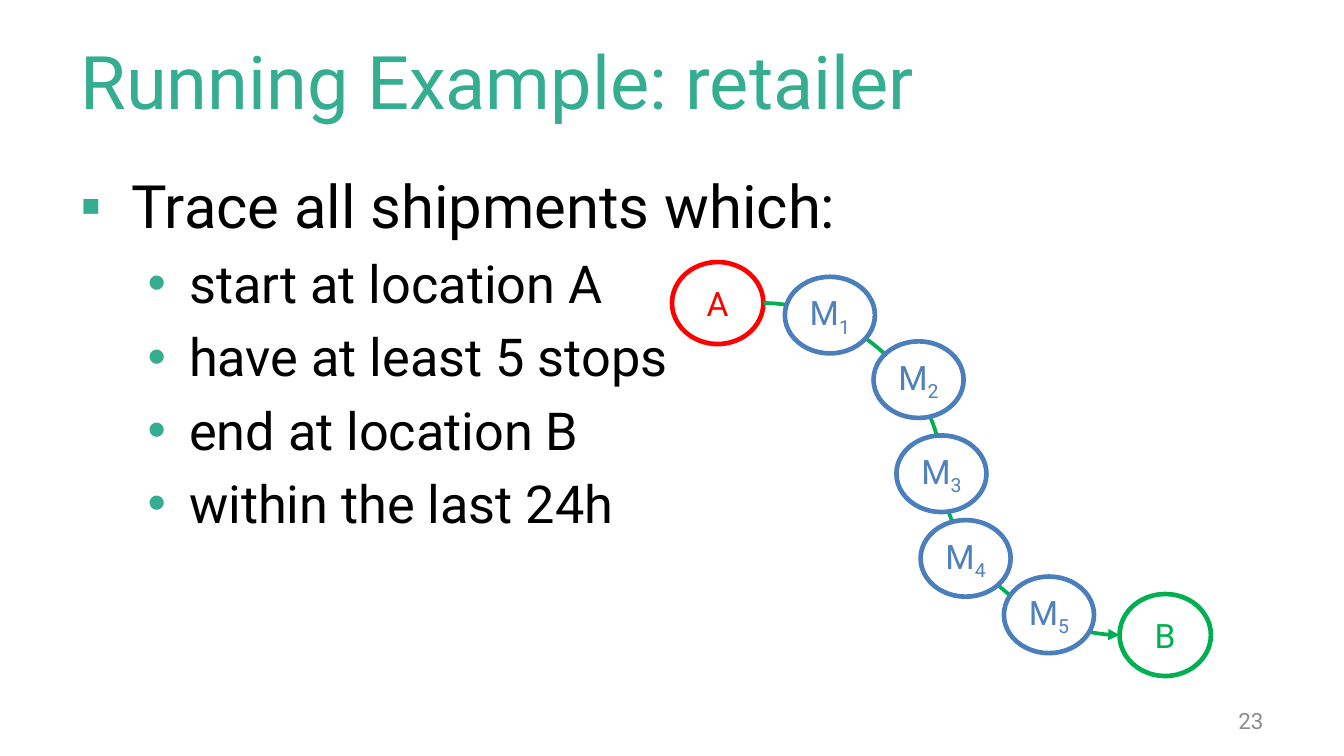
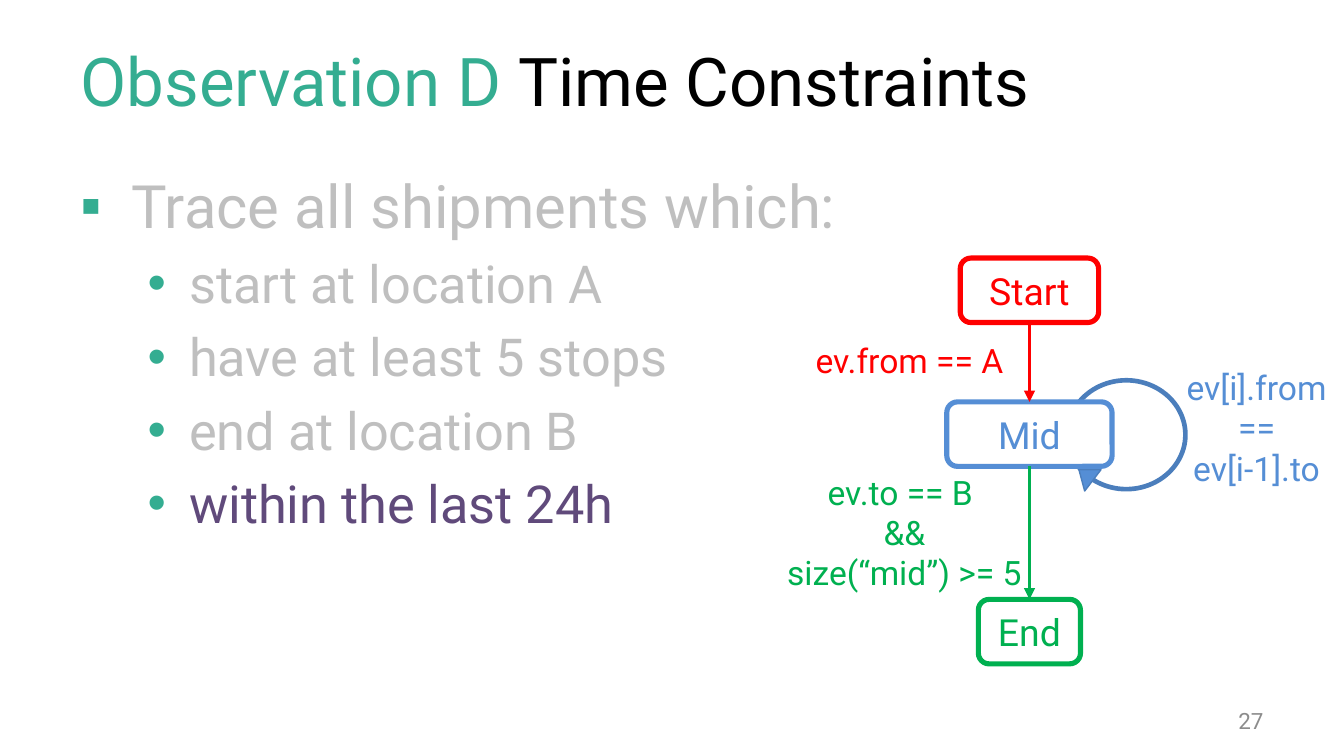
from lxml import etree
from pptx import Presentation
from pptx.dml.color import RGBColor
from pptx.enum.shapes import MSO_CONNECTOR, MSO_SHAPE
from pptx.enum.text import MSO_ANCHOR, MSO_AUTO_SIZE, PP_ALIGN
from pptx.oxml.ns import qn
from pptx.util import Inches, Pt

OVAL, ROUND, WEDGE = MSO_SHAPE.OVAL, MSO_SHAPE.ROUNDED_RECTANGLE, MSO_SHAPE.ISOSCELES_TRIANGLE
CURVE, STRAIGHT = MSO_CONNECTOR.CURVE, MSO_CONNECTOR.STRAIGHT
LEFT, MID, RIGHT = PP_ALIGN.LEFT, PP_ALIGN.CENTER, PP_ALIGN.RIGHT
CENTER, TOP = MSO_ANCHOR.MIDDLE, MSO_ANCHOR.TOP
FIXED = MSO_AUTO_SIZE.NONE

WIDE = Inches(10)
HIGH = WIDE * 9 // 16
CELL = WIDE / 100
FACE = "Roboto"
TEAL, BLACK, WHITE, GREY, PALE = "34AD91", "000000", "FFFFFF", "8C8C8C", "BFBFBF"
RED, GREEN, PURPLE = "FF0000", "00B050", "604A7B"
BLUE, EDGE, SKY = "4F81BD", "4B7EBC", "558ED5"

TITLE = (5, 2.25, 82, 7.4)
BODY = (5, 12.1, 90, 38.2)
FOOT = (71.7, 52.13, 23.3, 3)
TRAIL = (50, 19.5, 40.1, 30.8)
STATES = (57.1, 19.2, 42.8, 30.2)

LEAD = "Trace all shipments which:"
RULES = ["start at location A", "have at least 5 stops", "end at location B", "within the last 24h"]
STOPS = [(8.4, 1.1), (15, 5.9), (16.7, 12.9), (18.5, 19.2), (24.7, 23.4)]


def color(hue):
    return RGBColor.from_string(hue)


def cells(*spans):
    return [round(span * CELL) for span in spans]


def within(box, left, top, *size):
    return (box[0] + left, box[1] + top, *size)


def style(frame, size, hue, align=LEFT, anchor=TOP, wrap=True):
    frame.word_wrap = wrap
    frame.auto_size = FIXED
    frame.vertical_anchor = anchor
    for para in frame.paragraphs:
        para.alignment = align
        for run in para.runs:
            run.font.name = FACE
            run.font.size = Pt(size)
            run.font.color.rgb = color(hue)


def label(slide, box, text, size, hue, align=LEFT, anchor=TOP, wrap=True):
    frame = slide.shapes.add_textbox(*cells(*box)).text_frame
    frame.text = text
    style(frame, size, hue, align, anchor, wrap)
    return frame


def node(slide, kind, box, hue, weight, fill=WHITE):
    shape = slide.shapes.add_shape(kind, *cells(*box))
    shape.shadow.inherit = False
    if fill:
        shape.fill.solid()
        shape.fill.fore_color.rgb = color(fill)
    else:
        shape.fill.background()
    shape.line.color.rgb = color(hue)
    shape.line.width = Pt(weight)
    return shape


def name(shape, text, size, hue, sub=""):
    frame = shape.text_frame
    frame.margin_left = frame.margin_right = Inches(0.05)
    frame.text = text
    if sub:
        run = frame.paragraphs[0].add_run()
        run.text = sub
        run._r.get_or_add_rPr().set("baseline", "-25000")
    style(frame, size, hue, MID, CENTER)


def arrow(slide, kind, start, end, hue):
    line = slide.shapes.add_connector(kind, *cells(*start, *end))
    line.line.color.rgb = color(hue)
    line.line.width = Pt(2)
    tip = etree.SubElement(line.line._get_or_add_ln(), qn("a:tailEnd"))
    tip.set("type", "triangle")
    etree.SubElement(line._element.spPr, qn("a:effectLst"))
    return line


def link(slide, first, last, hue):
    line = arrow(slide, STRAIGHT, (0, 0), (0, 0), hue)
    line.begin_connect(first, 2)
    line.end_connect(last, 0)


def bullet(para, mark, margin, hang):
    props = para._p.get_or_add_pPr()
    props.set("marL", str(Inches(margin)))
    props.set("indent", str(-Inches(hang)))
    tint = etree.SubElement(props, qn("a:buClr"))
    etree.SubElement(tint, qn("a:srgbClr")).set("val", TEAL)
    etree.SubElement(props, qn("a:buFont")).set("typeface", "Arial")
    etree.SubElement(props, qn("a:buChar")).set("char", mark)


def heading(slide, box, size, lead, rest=""):
    title = slide.shapes.title
    title.left, title.top, title.width, title.height = cells(*box)
    frame = title.text_frame
    frame.text = lead
    style(frame, size, TEAL, anchor=CENTER)
    if rest:
        run = frame.paragraphs[0].add_run()
        run.text = rest
        run.font.name = FACE
        run.font.size = Pt(size)
        run.font.color.rgb = color(BLACK)


def body(slide, box, hue, last):
    frame = label(slide, box, "\n".join([LEAD, *RULES]), 32, hue)
    head, *points = frame.paragraphs
    bullet(head, "▪", 0.38, 0.38)
    for para in points:
        para.level = 1
        bullet(para, "•", 0.81, 0.31)
        para.space_before = Pt(5.6)
        para.runs[0].font.size = Pt(28)
    points[-1].runs[0].font.color.rgb = color(last)


def trail(slide, box):
    wide, high = 6.8, 6.1
    right, low = box[2] - wide, box[3] - high
    for text, left, top, hue in [("A", 0, 0, RED), ("B", right, low, GREEN)]:
        spot = node(slide, OVAL, within(box, left, top, wide, high), hue, 2.5)
        name(spot, text, 18, hue)
    start = within(box, wide, high / 2)
    end = within(box, right, low + high / 2)
    arrow(slide, CURVE, start, end, GREEN)
    for count, (left, top) in enumerate(STOPS, 1):
        stop = node(slide, OVAL, within(box, left, top, 6.7, 5.7), EDGE, 2.5)
        name(stop, "M", 18, BLUE, str(count))


def states(slide, box):
    node(slide, OVAL, within(box, 22.3, 9.1, 8.8, 8.1), EDGE, 2.5, None)
    tip = node(slide, WEDGE, within(box, 22.7, 15.5, 2, 1.3), EDGE, 0.75, SKY)
    tip.rotation = 307.3
    steps = []
    for text, top, wide, hue in [
        ("Start", 0, 10.3, RED), ("Mid", 10.7, 12.3, SKY), ("End", 25.4, 7.6, GREEN)
    ]:
        spot = within(box, 19.5 - wide / 2, top, wide, 4.8)
        step = node(slide, ROUND, spot, hue, 2.75)
        name(step, text, 20, hue)
        steps.append(step)
    first, loop, last = steps
    link(slide, loop, last, GREEN)
    link(slide, first, loop, RED)
    for text, spot, hue, align in [
        ("ev.from == A", (2.6, 5.6, 16.9, 4), RED, LEFT),
        ("ev[i].from\n==\nev[i-1].to", (30, 7.6, 12.8, 10.1), SKY, MID),
        ("ev.to == B \n&&\nsize(“mid”) >= 5", (0, 15.4, 20.4, 10.1), GREEN, MID),
    ]:
        label(slide, within(box, *spot), text, 18, hue, align, wrap=False)


def page(deck, number, size, lead, rest, hue, last):
    slide = deck.slides.add_slide(deck.slide_layouts[5])
    heading(slide, TITLE, size, lead, rest)
    body(slide, BODY, hue, last)
    label(slide, FOOT, number, 12, GREY, RIGHT, CENTER)
    return slide


def main():
    deck = Presentation()
    deck.slide_width, deck.slide_height = WIDE, HIGH
    trail(page(deck, "23", 39.6, "Running Example: retailer", "", BLACK, BLACK), TRAIL)
    states(page(deck, "27", 36, "Observation D ", "Time Constraints", PALE, PURPLE), STATES)
    deck.save("out.pptx")


if __name__ == "__main__":
    main()
